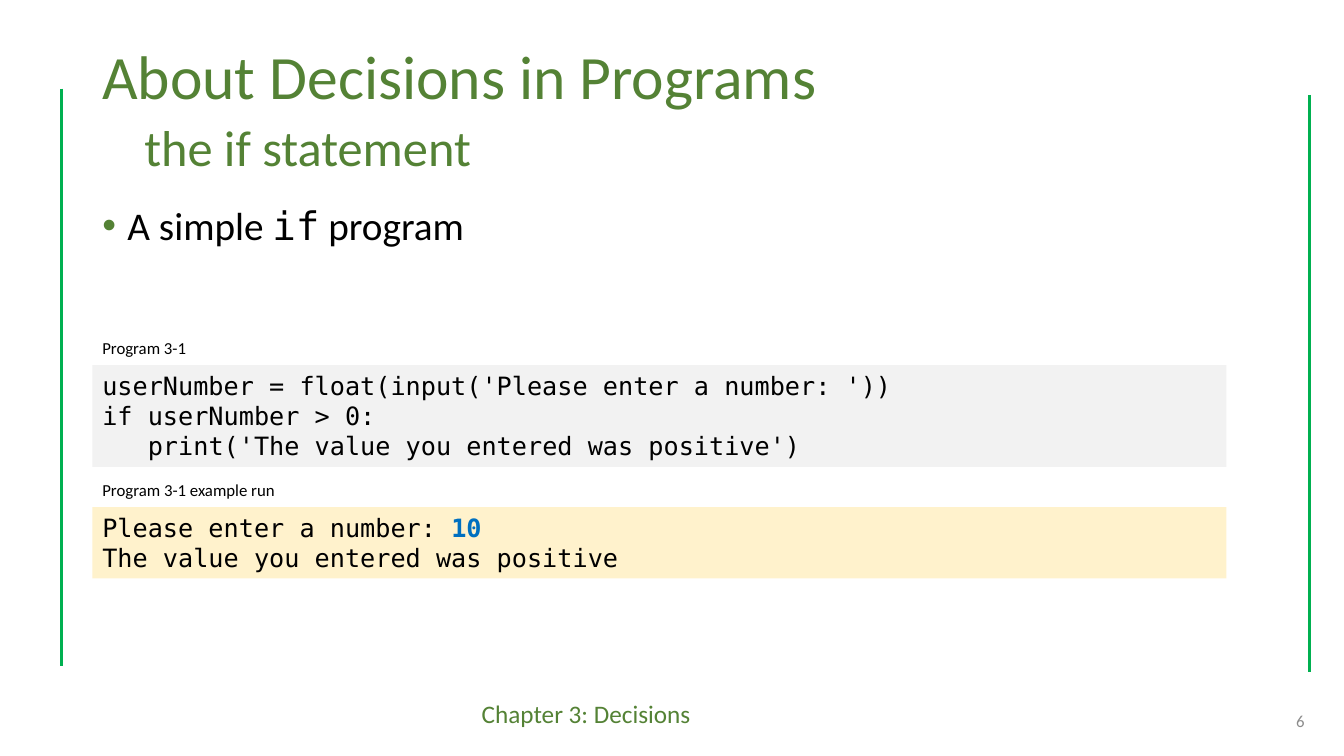
from dataclasses import dataclass, field
from typing import Optional

from lxml.etree import SubElement
from pptx import Presentation
from pptx.dml.color import RGBColor
from pptx.enum.shapes import MSO_CONNECTOR, MSO_SHAPE
from pptx.enum.text import MSO_ANCHOR, PP_ALIGN
from pptx.oxml.ns import qn
from pptx.slide import Slide
from pptx.util import Pt


@dataclass(frozen=True)
class Theme:
    heading: str = "548235"
    rule: str = "00B050"
    ink: str = "000000"
    page_number: str = "8C8C8C"
    code_fill: str = "F2F2F2"
    run_fill: str = "FFF2CC"
    user_input: str = "0070C0"
    prose_font: str = "Calibri"
    code_font: str = "DejaVu Sans Mono"
    title_size: float = 44
    subtitle_size: float = 36
    body_size: float = 28
    code_size: float = 18
    footer_size: float = 18
    small_size: float = 12
    rule_weight: float = 2.25


THEME = Theme()


@dataclass(frozen=True)
class Words:
    text: str
    size: float
    font: str = THEME.prose_font
    color: str = THEME.ink
    bold: bool = False


@dataclass(frozen=True)
class Line:
    words: list[Words]
    indent: float = 0
    space_before: float = 0
    line_spacing: float = 1.0
    align: PP_ALIGN = PP_ALIGN.LEFT
    bullet_color: Optional[str] = None


@dataclass(frozen=True)
class Block:
    left: float
    top: float
    width: float
    height: float
    lines: list[Line] = field(default_factory=list)
    fill: Optional[str] = None
    anchor: MSO_ANCHOR = MSO_ANCHOR.TOP


@dataclass(frozen=True)
class SideRule:
    x: float
    top: float
    length: float = 412.5


def write(paragraph, text: str, *, size: float, font: str, color: str, bold: bool) -> None:
    run = paragraph.add_run()
    run.text = text
    run.font.size = Pt(size)
    run.font.name = font
    run.font.bold = bold
    run.font.color.rgb = RGBColor.from_string(color)


def set_indent(paragraph, line: Line) -> None:
    properties = paragraph._p.get_or_add_pPr()
    properties.set("marL", str(Pt(line.indent)))
    properties.set("indent", str(Pt(-line.indent if line.bullet_color else 0)))
    if line.bullet_color:
        bullet_color = SubElement(properties, qn("a:buClr"))
        SubElement(bullet_color, qn("a:srgbClr"), val=line.bullet_color)
        SubElement(properties, qn("a:buFont"), typeface="Arial")
        SubElement(properties, qn("a:buChar"), char="•")


def draw_block(slide: Slide, block: Block) -> None:
    bounds = [Pt(n) for n in (block.left, block.top, block.width, block.height)]
    if block.fill:
        panel = slide.shapes.add_shape(MSO_SHAPE.RECTANGLE, *bounds)
        panel.shadow.inherit = False
        panel.fill.solid()
        panel.fill.fore_color.rgb = RGBColor.from_string(block.fill)
        panel.line.fill.background()
    else:
        panel = slide.shapes.add_textbox(*bounds)
    frame = panel.text_frame
    frame.word_wrap = True
    frame.vertical_anchor = block.anchor
    for index, line in enumerate(block.lines):
        paragraph = frame.add_paragraph() if index else frame.paragraphs[0]
        paragraph.alignment = line.align
        paragraph.line_spacing = line.line_spacing
        paragraph.space_before = Pt(line.space_before)
        set_indent(paragraph, line)
        for words in line.words:
            write(paragraph, words.text, size=words.size, font=words.font,
                  color=words.color, bold=words.bold)


def draw_rule(slide: Slide, rule: SideRule) -> None:
    connector = slide.shapes.add_connector(
        MSO_CONNECTOR.STRAIGHT, Pt(rule.x), Pt(rule.top), Pt(rule.x), Pt(rule.top + rule.length))
    connector.line.color.rgb = RGBColor.from_string(THEME.rule)
    connector.line.width = Pt(THEME.rule_weight)
    SubElement(connector._element.spPr, qn("a:effectLst"))


def code(text: str, color: str = THEME.ink, bold: bool = False) -> Words:
    return Words(text, THEME.code_size, THEME.code_font, color, bold)


def caption(text: str) -> list[Line]:
    return [Line([Words(text, THEME.small_size)])]


MARGIN = 66
TEXT_WIDTH = 828
PANEL_WIDTH = 810

SIDE_RULES = [SideRule(43.9, 63.4), SideRule(935.3, 67.7)]

CHAPTER = Block(337, 495.4, 284.4, 28.8, [
    Line([Words("Chapter 3: Decisions", THEME.footer_size, color=THEME.heading)])])
TITLE = Block(MARGIN, 27.8, TEXT_WIDTH, 104.4, [
    Line([Words("About Decisions in Programs", THEME.title_size, color=THEME.heading)],
         line_spacing=0.9),
    Line([Words("the if statement", THEME.subtitle_size, color=THEME.heading)],
         indent=30, space_before=7, line_spacing=0.9),
], anchor=MSO_ANCHOR.MIDDLE)
TOPIC = Block(MARGIN, 144, TEXT_WIDTH, 39.6, [
    Line([Words("A simple ", THEME.body_size),
          Words("if", THEME.body_size, THEME.code_font),
          Words(" program", THEME.body_size)],
         indent=18, space_before=10, line_spacing=0.9, bullet_color=THEME.heading)])
PAGE_NUMBER = Block(723, 500.4, 216, 28.8, [
    Line([Words("6", THEME.small_size, color=THEME.page_number)], align=PP_ALIGN.RIGHT),
], anchor=MSO_ANCHOR.MIDDLE)
PROGRAM = Block(MARGIN, 260.8, PANEL_WIDTH, 72.7, [
    Line([code("userNumber = float(input('Please enter a number: '))")]),
    Line([code("if userNumber > 0:")]),
    Line([code("print('The value you entered was positive')")], indent=32.5),
], fill=THEME.code_fill)
EXAMPLE_RUN = Block(MARGIN, 362.2, PANEL_WIDTH, 50.9, [
    Line([code("Please enter a number: "), code("10", THEME.user_input, True)]),
    Line([code("The value you entered was positive")]),
], fill=THEME.run_fill)
PROGRAM_CAPTION = Block(MARGIN, 237.6, 146.2, 21.8, caption("Program 3-1"))
RUN_CAPTION = Block(MARGIN, 339.4, 205.2, 21.8, caption("Program 3-1 example run"))


def main() -> None:
    presentation = Presentation()
    presentation.slide_width = Pt(960)
    presentation.slide_height = Pt(540)
    slide = presentation.slides.add_slide(presentation.slide_layouts[6])
    for rule in SIDE_RULES:
        draw_rule(slide, rule)
    for block in (CHAPTER, TITLE, TOPIC, PAGE_NUMBER, PROGRAM, EXAMPLE_RUN,
                  PROGRAM_CAPTION, RUN_CAPTION):
        draw_block(slide, block)
    presentation.save("out.pptx")


if __name__ == "__main__":
    main()
